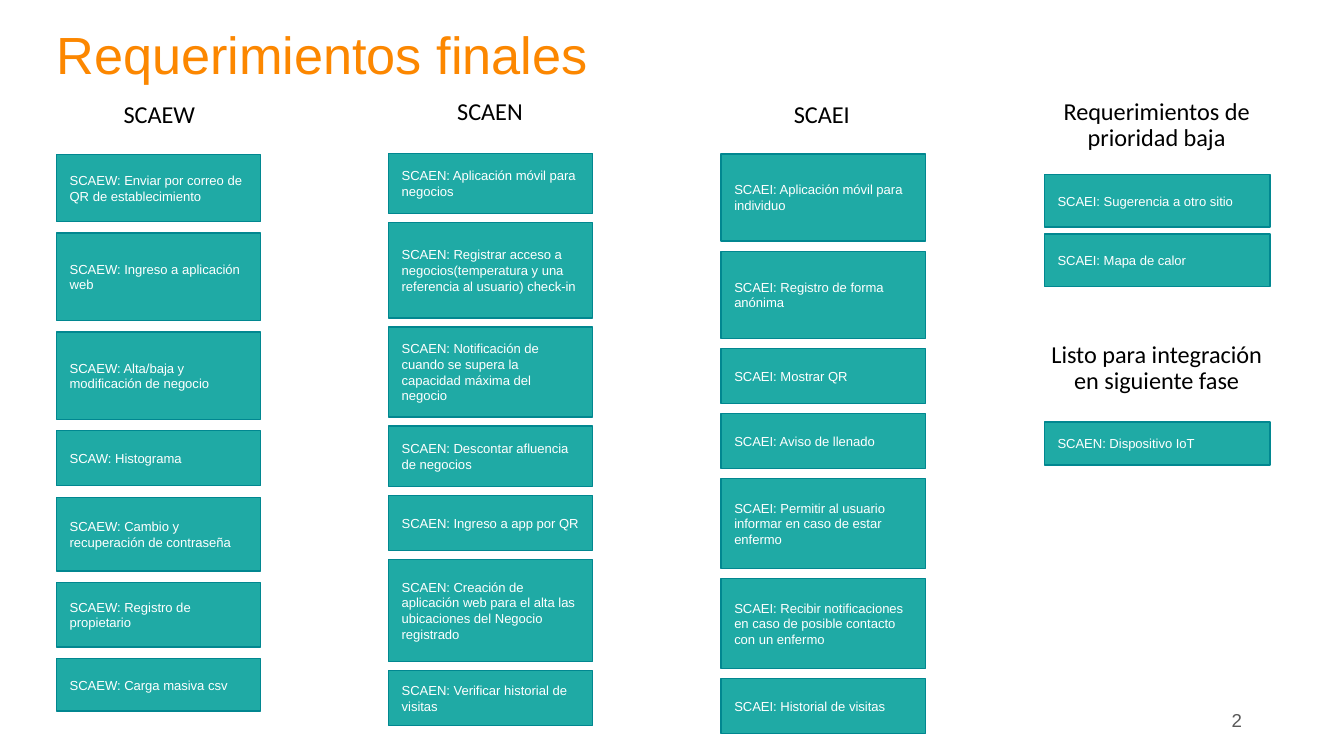
from pptx import Presentation
from pptx import util as u
from pptx.dml.color import RGBColor
from pptx.enum import shapes, text

COLS, ROWS = 1000, 562.5
CELL = u.Inches(0.01)
BOX_W, HEAD_W = 152, 181

STACKS = [
    (42, BOX_W, 115, 529, [
        ("SCAEW: Enviar por correo de QR de establecimiento", 50),
        ("SCAEW: Ingreso a aplicación web", 65),
        ("SCAEW: Alta/baja y modificación de negocio", 65),
        ("SCAW: Histograma", 41),
        ("SCAEW: Cambio y recuperación de contraseña", 55),
        ("SCAEW: Registro de propietario", 48),
        ("SCAEW: Carga masiva csv", 39),
    ]),
    (289, BOX_W, 114, 540, [
        ("SCAEN: Aplicación móvil para negocios", 45),
        ("SCAEN: Registrar acceso a negocios(temperatura y una "
         "referencia al usuario) check-in", 71),
        ("SCAEN: Notificación de cuando se supera la capacidad "
         "máxima del negocio", 67),
        ("SCAEN: Descontar afluencia de negocios", 45),
        ("SCAEN: Ingreso a app por QR", 41),
        ("SCAEN: Creación de aplicación web para el alta las "
         "ubicaciones del Negocio registrado", 76),
        ("SCAEN: Verificar historial de visitas", 41),
    ]),
    (536.5, BOX_W, 114.5, 546, [
        ("SCAEI: Aplicación móvil para individuo", 65),
        ("SCAEI: Registro de forma anónima", 65),
        ("SCAEI: Mostrar QR", 41),
        ("SCAEI: Aviso de llenado", 41),
        ("SCAEI: Permitir al usuario informar en caso de estar enfermo", 67),
        ("SCAEI: Recibir notificaciones en caso de posible contacto "
         "con un enfermo", 67),
        ("SCAEI: Historial de visitas", 41),
    ]),
    (777, 168, 130, 213, [
        ("SCAEI: Sugerencia a otro sitio", 39),
        ("SCAEI: Mapa de calor", 39),
    ]),
    (777, 168, 314, 346, [("SCAEN: Dispositivo IoT", 32)]),
]

HEADINGS = [
    ("SCAEW", 28, 72, 48),
    ("SCAEN", 274, 70, 48),
    ("SCAEI", 521, 72, 48),
    ("Requerimientos de prioridad baja", 770, 70, 55),
    ("Listo para integración en siguiente fase", 770, 251, 60),
]


def rgb(color):
    return RGBColor.from_string(color)


def grid(*cells):
    return [round(c * CELL) for c in cells]


def write(sp, content, size, font, color, align, anchor, inset):
    tf = sp.text_frame
    tf.word_wrap = True
    tf.vertical_anchor = anchor
    tf.margin_left = tf.margin_right = u.Inches(inset[0])
    tf.margin_top = tf.margin_bottom = u.Inches(inset[1])
    p = tf.paragraphs[0]
    p.text = content
    p.alignment = align
    p.font.size = u.Pt(size)
    p.font.name = font
    p.font.color.rgb = rgb(color)
    return p


def add_label(s, content, at, size, font, color, align,
              anchor=text.MSO_ANCHOR.MIDDLE):
    sp = s.shapes.add_textbox(*grid(*at))
    return write(sp, content, size, font, color, align, anchor, (0.07, 0.04))


def add_heading(s, content, left, top, height):
    p = add_label(s, content, (left, top, HEAD_W, height), 13, "Calibri",
                  "000000", text.PP_ALIGN.CENTER, text.MSO_ANCHOR.TOP)
    p.line_spacing = 0.9
    p.space_before = u.Pt(8)


def add_box(s, content, at):
    sp = s.shapes.add_shape(shapes.MSO_SHAPE.RECTANGLE, *grid(*at))
    sp.shadow.inherit = False
    sp.fill.solid()
    sp.fill.fore_color.rgb = rgb("1FAAA5")
    sp.line.color.rgb = rgb("018790")
    sp.line.width = u.Pt(0.75)
    write(sp, content, 7, "Arial", "FFFFFF", text.PP_ALIGN.LEFT,
          text.MSO_ANCHOR.MIDDLE, (0.1, 0.1))


def add_stack(s, left, width, top, bottom, boxes):
    free = bottom - top - sum(height for _, height in boxes)
    gap = free / max(len(boxes) - 1, 1)
    for content, height in boxes:
        add_box(s, content, (left, top, width, height))
        top += height + gap


def main():
    prs = Presentation()
    prs.slide_width, prs.slide_height = grid(COLS, ROWS)
    s = prs.slides.add_slide(prs.slide_layouts[6])
    title = add_label(s, "Requerimientos finales", (35, -12, 862, 109), 28,
                      "Arial", "FC8700", text.PP_ALIGN.LEFT)
    title.line_spacing = 0.9
    for stack in STACKS:
        add_stack(s, *stack)
    for heading in HEADINGS:
        add_heading(s, *heading)
    add_label(s, "2", (706, 521, 225, 30), 10, "Arial", "595959",
              text.PP_ALIGN.RIGHT)
    prs.save("out.pptx")


if __name__ == "__main__":
    main()
